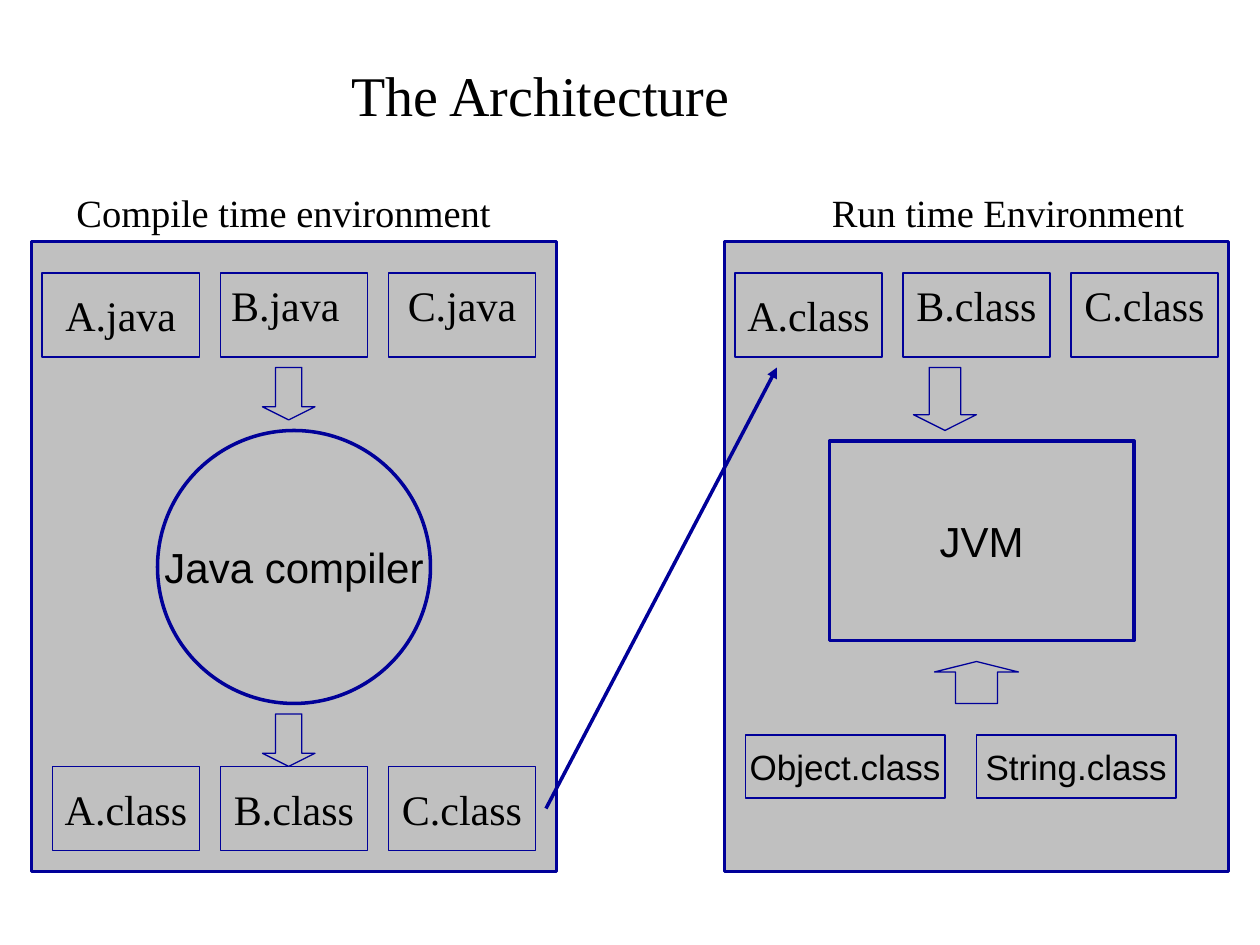
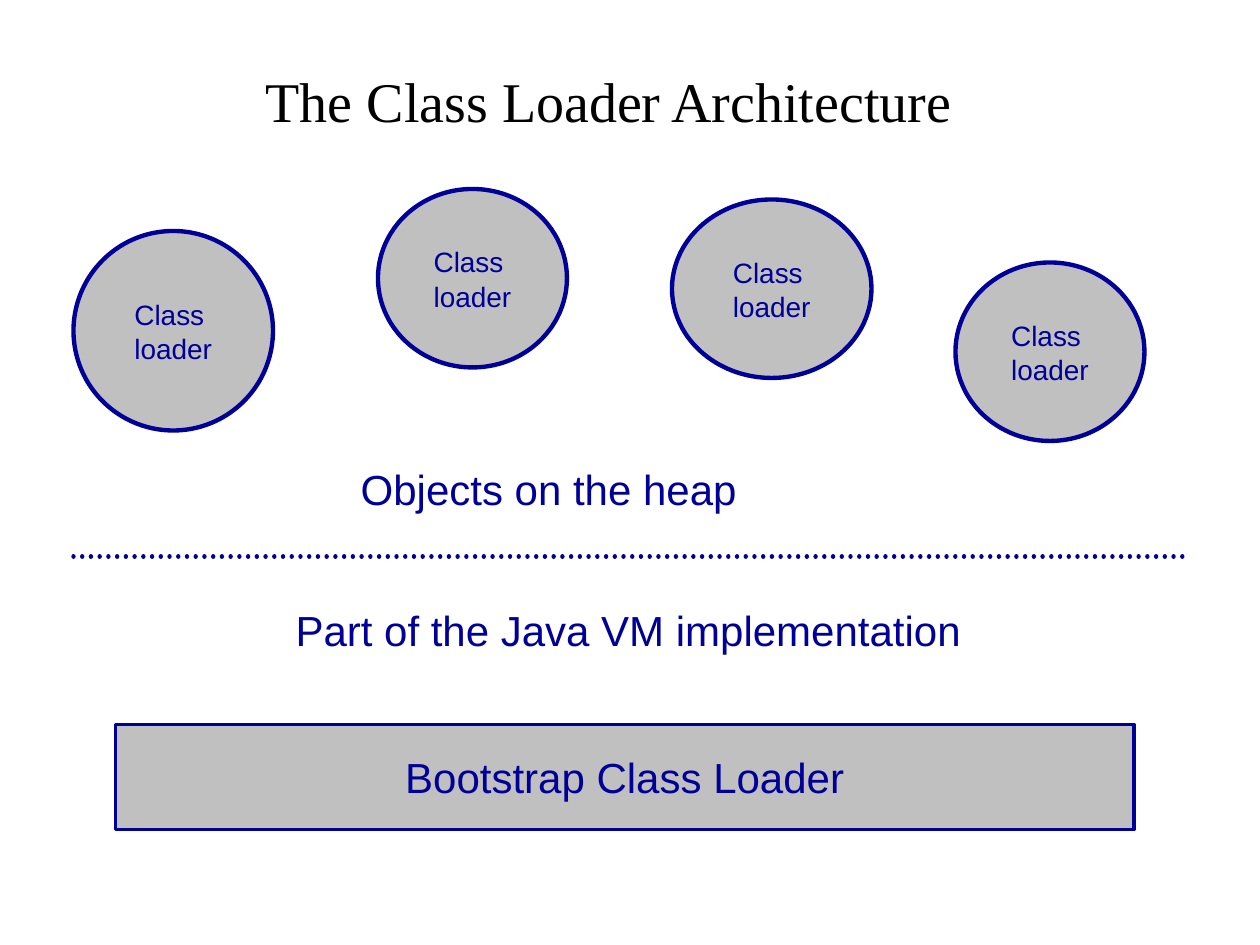
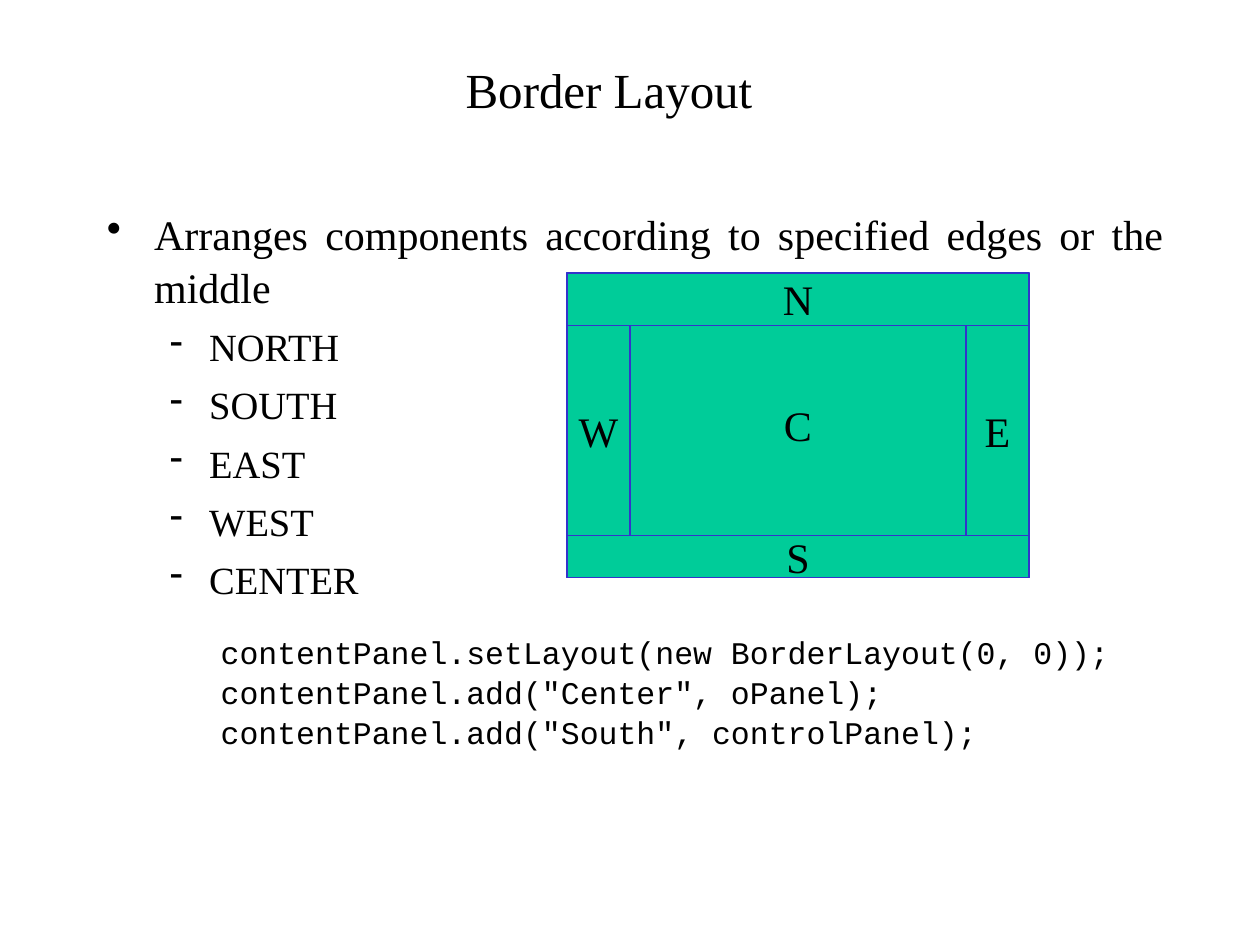
import pptx
import pptx.dml.color
import pptx.enum.dml
import pptx.enum.shapes
import pptx.enum.text
import pptx.oxml.ns
import pptx.util
from lxml import etree

Pt = pptx.util.Pt
RGBColor = pptx.dml.color.RGBColor
Kind = pptx.enum.shapes.MSO_SHAPE
Align = pptx.enum.text.PP_ALIGN
Anchor = pptx.enum.text.MSO_ANCHOR
qn = pptx.oxml.ns.qn

BLACK = RGBColor(0x00, 0x00, 0x00)
NAVY = RGBColor(0x00, 0x00, 0x99)
GRAY = RGBColor(0xC0, 0xC0, 0xC0)
GREEN = RGBColor(0x00, 0xCC, 0x99)
BLUE = RGBColor(0x33, 0x33, 0xCC)
SERIF = "Times New Roman"
SANS = "Arial"
MONO = "Courier New"


def write(frame, text, *, size=24, font=SERIF, color=BLACK, align=Align.CENTER,
          anchor=Anchor.MIDDLE, wrap=False, before=0, line=None, bullet=None,
          indent=0, hang=0, right=7.2, more=False):
    """Write one paragraph per line of text, after those present if more is set."""
    frame.word_wrap = wrap
    frame.auto_size = pptx.enum.text.MSO_AUTO_SIZE.NONE
    frame.vertical_anchor = anchor
    frame.margin_left, frame.margin_right = Pt(7.2), Pt(right)
    frame.margin_top = frame.margin_bottom = Pt(3.6)
    for count, words in enumerate(text.split("\n")):
        para = frame.add_paragraph() if more or count else frame.paragraphs[0]
        para.alignment = align
        para.space_before = Pt(before)
        if line:
            para.line_spacing = line
        if bullet:
            props = para._p.get_or_add_pPr()
            props.set("marL", str(Pt(indent)))
            props.set("indent", str(-Pt(hang)))
            etree.SubElement(props, qn("a:buChar")).set("char", bullet)
        run = para.add_run()
        run.text = words
        run.font.size = Pt(size)
        run.font.name = font
        run.font.color.rgb = color


def start(deck, title, box, size=32):
    """Add a title-only slide with its title placed in the box."""
    slide = deck.slides.add_slide(deck.slide_layouts[5])
    head = slide.shapes.title
    head.left, head.top, head.width, head.height = map(Pt, box)
    write(head.text_frame, title, size=size, wrap=True)
    return slide


def draw(slide, box, text="", *, kind=Kind.RECTANGLE, fill=GRAY, edge=NAVY,
         weight=0.75, **style):
    """Draw a filled shape with an outline and optional text."""
    shape = slide.shapes.add_shape(kind, *map(Pt, box))
    shape.shadow.inherit = False
    shape.fill.solid()
    shape.fill.fore_color.rgb = fill
    shape.line.color.rgb = edge
    shape.line.width = Pt(weight)
    if text:
        write(shape.text_frame, text, **style)
    return shape


def label(slide, box, text, **style):
    """Add a text box and give back its frame."""
    frame = slide.shapes.add_textbox(*map(Pt, box)).text_frame
    write(frame, text, **style)
    return frame


def arrow(slide, box, kind=Kind.DOWN_ARROW):
    """Draw a block arrow with a short head."""
    draw(slide, box, kind=kind).adjustments[1] = 0.25


def link(slide, ends, weight):
    """Draw a straight navy line and give back its line element."""
    wire = slide.shapes.add_connector(
        pptx.enum.shapes.MSO_CONNECTOR.STRAIGHT, *map(Pt, ends))
    wire.line.color.rgb = NAVY
    wire.line.width = Pt(weight)
    etree.SubElement(wire._element.spPr, qn("a:effectLst"))
    return wire


def panel(slide, box, head, shift):
    """Draw an environment panel with its heading above."""
    left, top, width, _ = box
    label(slide, (left + shift, top - 34, width, 34), head, size=22)
    draw(slide, box, weight=2)


def files(slide, left, top, names, high=()):
    """Draw a row of file boxes, with text at the top for the high names."""
    for place, name in enumerate(names):
        anchor = Anchor.TOP if name in high else Anchor.MIDDLE
        draw(slide, (left + 96 * place, top, 84, 48), name, anchor=anchor)


def compile_side(slide, box):
    """Draw the compile time environment in the box."""
    left, top = box[:2]
    panel(slide, box, "Compile time environment", -6)
    draw(slide, (left + 6, top + 18, 90, 48), "A.java")
    draw(slide, (left + 108, top + 18, 84, 48), "B.java", anchor=Anchor.TOP, right=17)
    draw(slide, (left + 204, top + 18, 84, 48), "C.java", anchor=Anchor.TOP)
    draw(slide, (left + 72, top + 108, 156, 156), "Java compiler",
         kind=Kind.OVAL, weight=2, font=SANS)
    files(slide, left + 12, top + 300, ("A.class", "B.class", "C.class"))
    for drop in (72, 270):
        arrow(slide, (left + 132, top + drop, 30, 30))


def run_side(slide, box):
    """Draw the run time environment in the box."""
    left, top = box[:2]
    panel(slide, box, "Run time Environment", 18)
    files(slide, left + 6, top + 18, ("A.class", "B.class", "C.class"),
          high=("B.class", "C.class"))
    draw(slide, (left + 60, top + 114, 174, 114), "JVM", weight=2, font=SANS)
    for place, name in enumerate(("Object.class", "String.class")):
        draw(slide, (left + 12 + 132 * place, top + 282, 114, 36), name,
             size=20, font=SANS)
    arrow(slide, (left + 108, top + 72, 36, 36))
    arrow(slide, (left + 120, top + 240, 48, 24), Kind.UP_ARROW)


def flow(deck):
    """Build the slide that joins compile time to run time."""
    slide = start(deck, "The Architecture", (48, 24, 522, 60))
    compile_side(slide, (18, 138, 300, 360))
    run_side(slide, (414, 138, 288, 360))
    wire = link(slide, (312, 462, 444, 210), 2)
    etree.SubElement(wire.line._get_or_add_ln(), qn("a:tailEnd")).set("type", "triangle")


def loaders(deck):
    """Build the slide of class loaders above and below the dotted line."""
    slide = start(deck, "The Class Loader Architecture", (42, 12, 612, 90))
    style = {"font": SANS, "color": NAVY}
    for box in ((42, 132, 114, 114), (216, 108, 108, 102),
                (384, 114, 114, 102), (546, 150, 108, 102)):
        draw(slide, box, "Class \nloader", kind=Kind.OVAL, weight=2.5,
             size=16, line=1.03, **style)
    wire = link(slide, (42, 318, 678, 318), 2.5)
    wire.line.dash_style = pptx.enum.dml.MSO_LINE.ROUND_DOT
    wire.line._get_or_add_ln().set("cap", "rnd")
    label(slide, (199, 261.5, 229, 36), "Objects on the heap", **style)
    label(slide, (162, 342, 394, 36), "Part of the Java VM implementation", **style)
    draw(slide, (66, 414, 582, 60), "Bootstrap Class Loader", weight=2, **style)


def shade(title):
    """Give the title text a gray shadow."""
    font = title.text_frame.paragraphs[0].runs[0].font
    effect = etree.Element(qn("a:effectLst"))
    cast = etree.SubElement(effect, qn("a:outerShdw"), dist="25400", dir="8100000")
    etree.SubElement(cast, qn("a:srgbClr")).set("val", "808080")
    font._element.find(qn("a:solidFill")).addnext(effect)


def border(slide, box):
    """Draw the five areas of a border layout in the box."""
    left, top, width, height = box
    north, south, side = 30, 24, 36
    middle = height - north - south
    areas = {
        "C": (0, 0, width, height),
        "N": (0, 0, width, north),
        "S": (0, height - south, width, south),
        "W": (0, north, side, middle),
        "E": (width - side, north, side, middle),
    }
    for name, (across, down, wide, tall) in areas.items():
        draw(slide, (left + across, top + down, wide, tall), name,
             fill=GREEN, edge=BLUE)


def layout(deck):
    """Build the border layout slide."""
    slide = start(deck, "Border Layout", (42, 12, 612, 78), size=28)
    shade(slide.shapes.title)
    style = {"align": Align.JUSTIFY, "anchor": Anchor.TOP, "wrap": True, "line": 1.05}
    frame = label(slide, (54, 114, 618, 317),
                  "Arranges components according to specified edges or the middle",
                  bullet="•", indent=27, hang=27, **style)
    write(frame, "NORTH\nSOUTH\nEAST\nWEST\nCENTER", size=22, before=5.5,
          bullet="-", indent=58.5, hang=22.5, more=True, **style)
    border(slide, (324, 156, 264, 174))
    code = ("contentPanel.setLayout(new BorderLayout(0, 0));\n"
            "contentPanel.add(\"Center\", oPanel);\n"
            "contentPanel.add(\"South\", controlPanel);")
    label(slide, (119, 357, 530, 72), code, size=18, font=MONO, align=Align.LEFT,
          anchor=Anchor.TOP, wrap=True, line=1.06)


def main():
    """Build and save the deck."""
    deck = pptx.Presentation()
    deck.slide_width, deck.slide_height = Pt(720), Pt(540)
    flow(deck)
    loaders(deck)
    layout(deck)
    deck.save("out.pptx")


if __name__ == "__main__":
    main()
